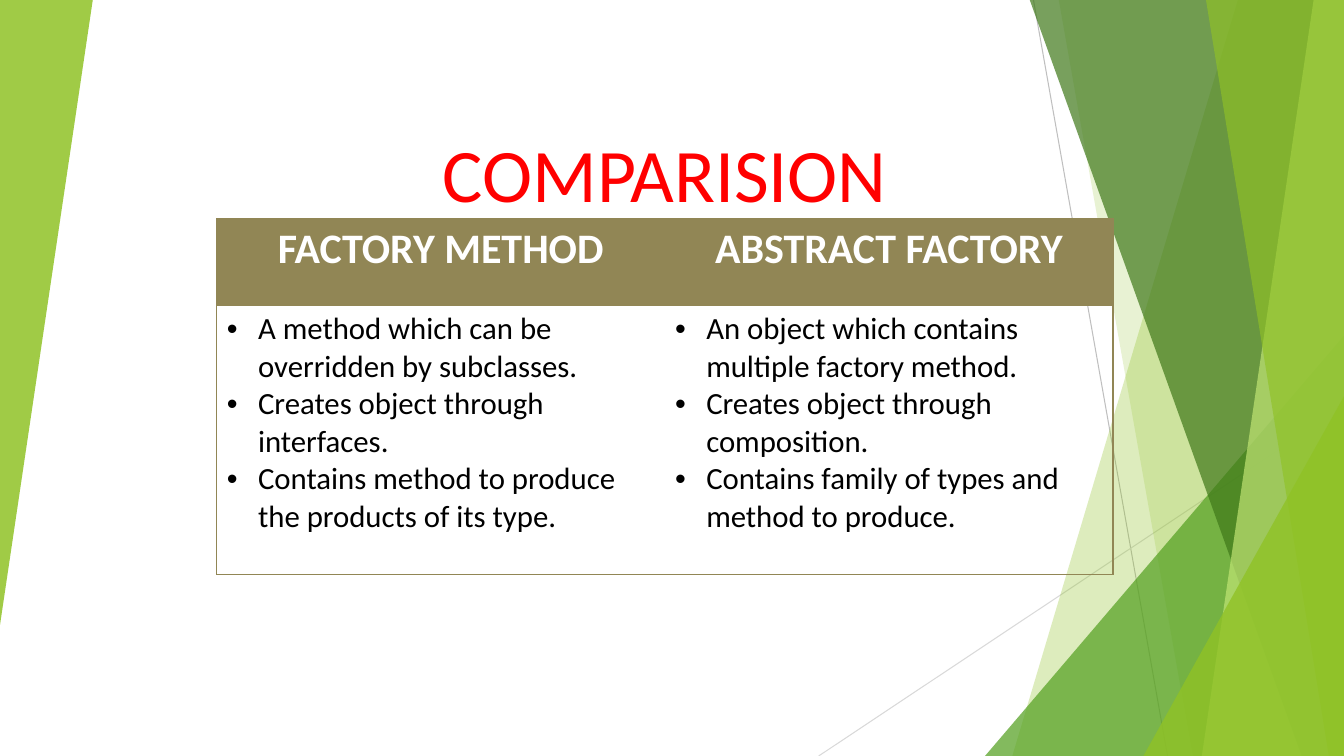
from dataclasses import dataclass

from lxml.etree import SubElement
from pptx import Presentation
from pptx.dml.color import RGBColor
from pptx.enum.shapes import MSO_CONNECTOR, MSO_SHAPE
from pptx.enum.text import MSO_ANCHOR, PP_ALIGN
from pptx.oxml.ns import qn
from pptx.util import Inches, Pt

COLORS = {
    "lime": "90C226",
    "green": "54A021",
    "forest": "3F7819",
    "pale": "C0E474",
    "silver": "BFBFBF",
    "mist": "D9D9D9",
    "olive": "918655",
    "red": "FF0000",
    "white": "FFFFFF",
    "black": "000000",
}
FONT = "Calibri"
WIDTH, HEIGHT = 13.33, 7.5
TOP = -0.01
NO_STYLE = "{2D5ABB26-0587-4C30-8999-92F81FD0307C}"


@dataclass
class Line:
    start: tuple[float, float]
    end: tuple[float, float]
    color: str


@dataclass
class Band:
    """Full-height facet ending at the right slide edge."""
    top_x: float
    bottom_x: float
    color: str
    opacity: int


@dataclass
class Triangle:
    """Right-angled facet."""
    left: float
    top: float
    width: float
    height: float
    color: str
    opacity: int
    rotation: int = 0


@dataclass
class Column:
    heading: str
    points: list[str]


LINES = [
    Line((10.25, 0), (11.58, HEIGHT), "silver"),
    Line((WIDTH, 4.03), (8.12, HEIGHT), "mist"),
]
FACETS = [
    Band(12.28, 10.04, "lime", 30),
    Band(10.5, 11.83, "lime", 20),
    Triangle(9.77, 3.33, 3.56, 4.17, "green", 72),
    Band(10.21, 12.91, "forest", 70),
    Band(13.03, 11.92, "pale", 70),
    Band(11.96, 13.18, "lime", 65),
    Triangle(11.34, 3.93, 1.99, 3.57, "lime", 80),
    Triangle(0, 0, 0.92, 6.2, "lime", 85, rotation=180),
]
COLUMNS = [
    Column("FACTORY METHOD", [
        "A method which can be overridden by subclasses.",
        "Creates object through interfaces.",
        "Contains method to produce the products of its type.",
    ]),
    Column("ABSTRACT FACTORY", [
        "An object which contains multiple factory method.",
        "Creates object through composition.",
        "Contains family of types and method to produce.",
    ]),
]


def rgb(name: str) -> RGBColor:
    return RGBColor.from_string(COLORS[name])


def draw_line(slide, line: Line) -> None:
    points = [Inches(value) for value in (*line.start, *line.end)]
    connector = slide.shapes.add_connector(MSO_CONNECTOR.STRAIGHT, *points)
    connector.line.color.rgb = rgb(line.color)
    connector.line.width = Pt(0.75)
    SubElement(connector.element.spPr, qn("a:effectLst"))


def draw_facet(slide, facet: Band | Triangle) -> None:
    if isinstance(facet, Band):
        corners = [(WIDTH, TOP), (WIDTH, HEIGHT), (facet.bottom_x, HEIGHT)]
        builder = slide.shapes.build_freeform(Inches(facet.top_x), Inches(TOP))
        builder.add_line_segments([(Inches(x), Inches(y)) for x, y in corners])
        shape = builder.convert_to_shape()
    else:
        box = (facet.left, facet.top, facet.width, facet.height)
        shape = slide.shapes.add_shape(
            MSO_SHAPE.ISOSCELES_TRIANGLE, *[Inches(value) for value in box])
        shape.adjustments[0] = 1
        shape.rotation = facet.rotation
    shape.shadow.inherit = False
    shape.line.fill.background()
    shape.fill.solid()
    shape.fill.fore_color.rgb = rgb(facet.color)
    color = shape.element.spPr.find(qn("a:solidFill")).find(qn("a:srgbClr"))
    SubElement(color, qn("a:alpha"), val=str(facet.opacity * 1000))


def write_text(frame, paragraphs: list[str], *, size: float, color: str,
               bold: bool = False, align=PP_ALIGN.LEFT, bullet: bool = False) -> None:
    for index, text in enumerate(paragraphs):
        paragraph = frame.add_paragraph() if index else frame.paragraphs[0]
        paragraph.alignment = align
        run = paragraph.add_run()
        run.text = text
        run.font.name = FONT
        run.font.size = Pt(size)
        run.font.bold = bold
        run.font.color.rgb = rgb(color)
        if bullet:
            properties = paragraph._p.get_or_add_pPr()
            properties.set("marL", str(Inches(0.31)))
            properties.set("indent", str(Inches(-0.31)))
            SubElement(properties, qn("a:buFont"), typeface="Arial")
            SubElement(properties, qn("a:buChar"), char="•")


def style_cell(cell, sides: str, fill: str | None = None) -> None:
    """Draw the borders named by the letters L, R, T and B, then fill."""
    properties = cell._tc.get_or_add_tcPr()
    for side in sides:
        border = SubElement(properties, qn(f"a:ln{side}"), w=str(Pt(1)))
        solid = SubElement(border, qn("a:solidFill"))
        SubElement(solid, qn("a:srgbClr"), val=COLORS["olive"])
    if fill:
        cell.fill.solid()
        cell.fill.fore_color.rgb = rgb(fill)
    else:
        cell.fill.background()


def draw_table(slide) -> None:
    frame = slide.shapes.add_table(2, len(COLUMNS), Inches(2.15), Inches(2.17),
                                   Inches(8.89), Inches(3.53))
    table = frame.table
    table.first_row = False
    table.horz_banding = False
    next(frame.element.iter(qn("a:tableStyleId"))).text = NO_STYLE
    for row, height in zip(table.rows, (0.86, 2.67)):
        row.height = Inches(height)
    for index, (column, side) in enumerate(zip(COLUMNS, "LR")):
        heading, body = table.cell(0, index), table.cell(1, index)
        write_text(heading.text_frame, [column.heading], size=30, color="white",
                   bold=True, align=PP_ALIGN.CENTER)
        style_cell(heading, side + "T", fill="olive")
        write_text(body.text_frame, column.points, size=22, color="black", bullet=True)
        style_cell(body, side + "TB")


def main() -> None:
    presentation = Presentation()
    presentation.slide_width = Inches(WIDTH)
    presentation.slide_height = Inches(HEIGHT)
    slide = presentation.slides.add_slide(presentation.slide_layouts[6])

    # Background facets
    for line in LINES:
        draw_line(slide, line)
    for facet in FACETS:
        draw_facet(slide, facet)

    # Title
    title = slide.shapes.add_textbox(Inches(1.87), Inches(0.98), Inches(9.45), Inches(1.18))
    title.text_frame.word_wrap = True
    title.text_frame.vertical_anchor = MSO_ANCHOR.BOTTOM
    title.text_frame.margin_bottom = 0
    write_text(title.text_frame, ["COMPARISION"], size=54, color="red",
               align=PP_ALIGN.CENTER)

    # Comparison table
    draw_table(slide)
    presentation.save("out.pptx")


if __name__ == "__main__":
    main()
